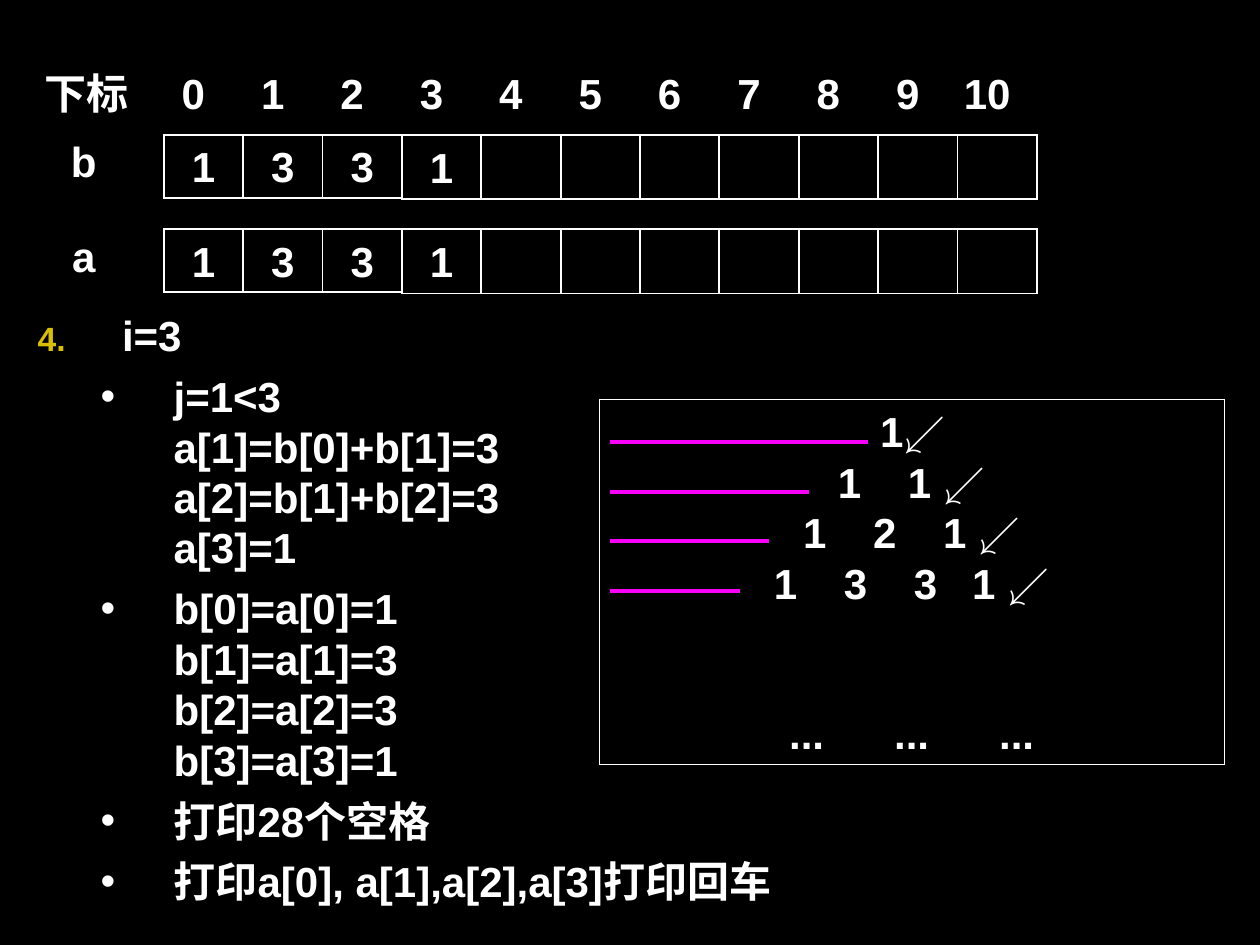
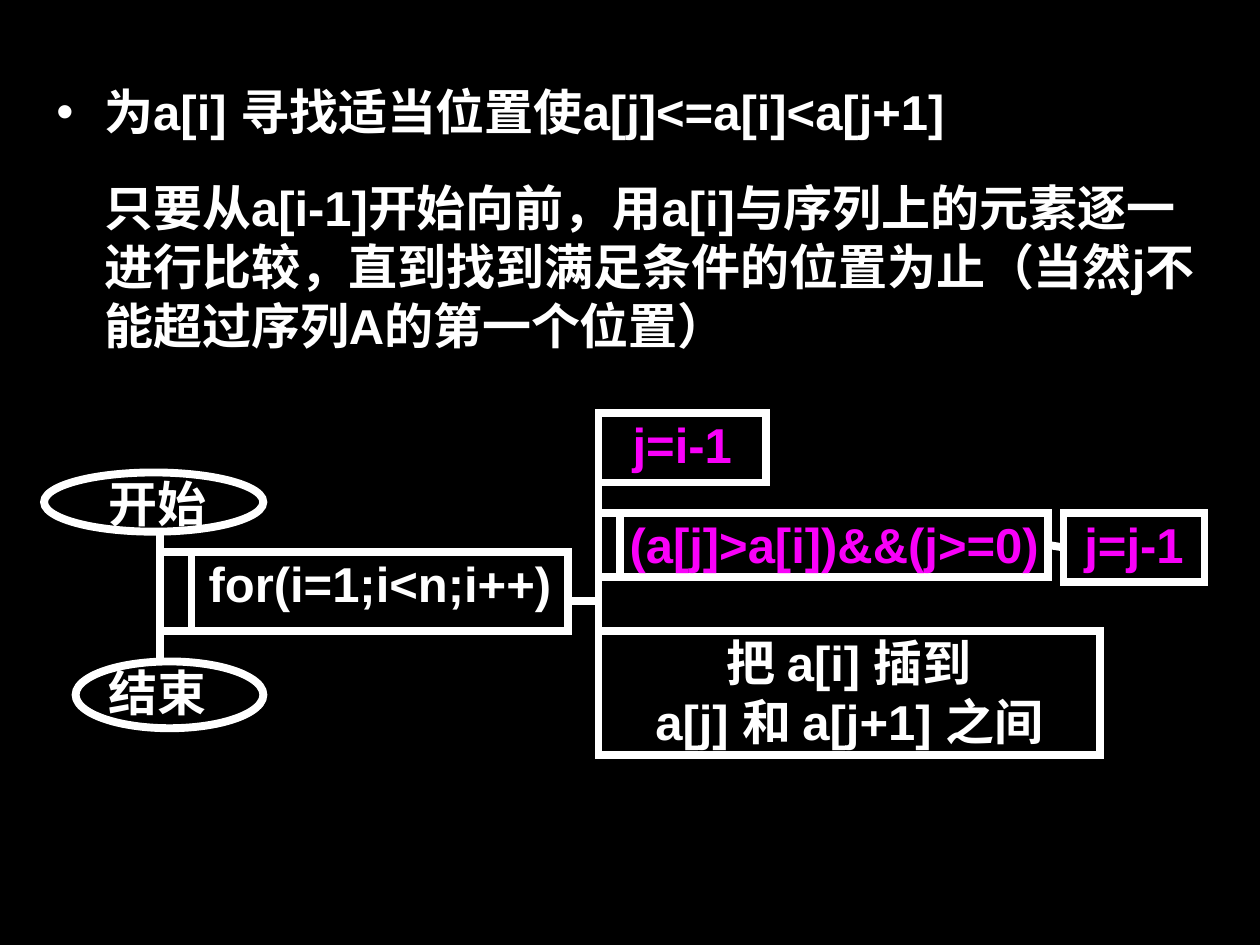
from lxml.etree import SubElement
from pptx import Presentation
from pptx.dml.color import RGBColor
from pptx.enum.shapes import MSO_CONNECTOR as Connector, MSO_SHAPE as Preset
from pptx.enum.text import MSO_ANCHOR as Anchor, PP_ALIGN as Align
from pptx.oxml.ns import qn
from pptx.util import Pt

COLORS = {"background": "000000", "white": "FFFFFF", "accent": "F900F9", "number": "D9BE02"}
FONT = "Arial"
WIDE_INSET, TIGHT_INSET = (7.2, 3.6), (0.72, 0.72)


def outline(shape, color, width):
    shape.line.color.rgb = RGBColor.from_string(COLORS[color])
    shape.line.width = Pt(width)
    properties = shape._element.spPr
    SubElement(properties.find(qn("a:ln")), qn("a:miter"), lim="800000")
    SubElement(properties, qn("a:effectLst"))


def write(shape, texts, size, color="white", align=Align.CENTER, inset=WIDE_INSET, anchor=Anchor.TOP):
    frame = shape.text_frame
    frame.word_wrap = True
    frame.vertical_anchor = anchor
    frame.margin_left = frame.margin_right = Pt(inset[0])
    frame.margin_top = frame.margin_bottom = Pt(inset[1])
    for index, text in enumerate(texts):
        paragraph = frame.add_paragraph() if index else frame.paragraphs[0]
        paragraph.alignment = align
        for line_index, line in enumerate(text.split("\n")):
            if line_index:
                paragraph.add_line_break()
            run = paragraph.add_run()
            run.text = line
            run.font.name = FONT
            run.font.size = Pt(size)
            run.font.bold = True
            run.font.color.rgb = RGBColor.from_string(COLORS[color])
    return frame.paragraphs


presentation = Presentation()
presentation.slide_width, presentation.slide_height = Pt(720), Pt(540)
slides = []
for _ in range(2):
    slide = presentation.slides.add_slide(presentation.slide_layouts[6])
    slide.background.fill.solid()
    slide.background.fill.fore_color.rgb = RGBColor.from_string(COLORS["background"])
    slides.append(slide)
array_slide, flow_slide = slides

# Array slide
shapes = array_slide.shapes
CELL_LEFT, CELL_WIDTH = 93.6, 45.36
array_values = ["1", "3", "3", "1"]
labels = [("下标", 8.64, 35.3, 82.08), ("b", 25.2, 74.16, CELL_WIDTH), ("a", 25.2, 128.16, CELL_WIDTH)]
labels += [(str(index), 87.84 + index * CELL_WIDTH, 34.9, CELL_WIDTH) for index in range(11)]
for text, left, top, width in labels:
    label = shapes.add_textbox(Pt(left), Pt(top), Pt(width), Pt(36))
    write(label, [text], 24)

for row_top in (77.04, 131.04):
    for column in range(11):
        height = 36 if column < 3 else 36.72
        cell = shapes.add_shape(Preset.RECTANGLE, Pt(CELL_LEFT + column * CELL_WIDTH), Pt(row_top),
                                Pt(CELL_WIDTH), Pt(height))
        cell.fill.background()
        outline(cell, "white", 1)
        if column < len(array_values):
            write(cell, [array_values[column]], 24)

steps = [
    "i=3",
    "j=1<3\na[1]=b[0]+b[1]=3\na[2]=b[1]+b[2]=3\na[3]=1",
    "b[0]=a[0]=1\nb[1]=a[1]=3\nb[2]=a[2]=3\nb[3]=a[3]=1",
    "打印28个空格",
    "打印a[0], a[1],a[2],a[3]打印回车",
]
step_box = shapes.add_textbox(Pt(14.4), Pt(173.52), Pt(646.56), Pt(351.36))
for index, paragraph in enumerate(write(step_box, steps, 24, align=Align.LEFT)):
    margin, hanging = (77.76, 41.76) if index else (48.24, 48.24)
    properties = paragraph._p.get_or_add_pPr()
    properties.set("marL", str(Pt(margin)))
    properties.set("indent", str(-Pt(hanging)))
    bullet_color = SubElement(properties, qn("a:buClr"))
    SubElement(bullet_color, qn("a:srgbClr"), val=COLORS["white" if index else "number"])
    if index:
        paragraph.level = 1
        SubElement(properties, qn("a:buFont"), typeface=FONT)
        SubElement(properties, qn("a:buChar"), char="•")
        paragraph.space_before = Pt(6)
    else:
        SubElement(properties, qn("a:buSzPct"), val="80000")
        SubElement(properties, qn("a:buAutoNum"), type="arabicPeriod", startAt="4")

triangle_rows = [
    ("\t1↙", [153.1]),
    ("\t1\t1 ↙", [129.1, 169.1]),
    ("\t1\t2\t1 ↙", [109.1, 149.1, 189.1]),
    ("\t1\t3\t3\t1 ↙", [92.5, 132.5, 172.5, 205.8]),
    ("\t...\t...\t...", [101.2, 161.2, 221.2]),
]
triangle_box = shapes.add_shape(Preset.RECTANGLE, Pt(342.72), Pt(228.24), Pt(357.12), Pt(208.8))
triangle_box.fill.background()
outline(triangle_box, "white", 0.75)
paragraphs = write(triangle_box, [text for text, _ in triangle_rows], 24, align=Align.LEFT, anchor=Anchor.MIDDLE)
for paragraph, (_, stops) in zip(paragraphs, triangle_rows):
    tab_list = SubElement(paragraph._p.get_or_add_pPr(), qn("a:tabLst"))
    for stop in stops:
        SubElement(tab_list, qn("a:tab"), pos=str(Pt(stop)), algn="l")
paragraphs[-1].space_before = Pt(57.4)

for index, right in enumerate((496.08, 462.24, 439.2, 422.64)):
    top = 252.72 + index * 28.3
    indent_line = shapes.add_connector(Connector.STRAIGHT, Pt(348.48), Pt(top), Pt(right), Pt(top))
    outline(indent_line, "accent", 2.25)

# Flow slide
intro = [
    "为a[i] 寻找适当位置使a[j]<=a[i]<a[j+1]",
    "只要从a[i-1]开始向前，用a[i]与序列上的元素逐一进行比较，直到找到满足条件的位置为止（当然j不能超过序列A的第一个位置）",
]
intro_box = flow_slide.shapes.add_textbox(Pt(25.2), Pt(43.2), Pt(672.48), Pt(164.16))
for index, paragraph in enumerate(write(intro_box, intro, 28, align=Align.LEFT)):
    properties = paragraph._p.get_or_add_pPr()
    properties.set("marL", str(Pt(27.36)))
    properties.set("indent", "0" if index else str(-Pt(27.36)))
    if index:
        paragraph.space_before = Pt(10.5)
    else:
        bullet_color = SubElement(properties, qn("a:buClr"))
        SubElement(bullet_color, qn("a:srgbClr"), val=COLORS["white"])
        SubElement(properties, qn("a:buFont"), typeface=FONT)
        SubElement(properties, qn("a:buChar"), char="•")
    paragraph.space_after = Pt(10.5)

flow_shapes = flow_slide.shapes.add_group_shape().shapes
BODY_LEFT = 342
flow_boxes = [
    ("start", Preset.OVAL, 25.2, 270, 125.28, 33.84, [], "white"),
    ("end", Preset.OVAL, 43.2, 378, 107.28, 38.16, [], "white"),
    ("loop bar", Preset.RECTANGLE, 91.44, 315.36, 18, 45.36, [], "white"),
    ("loop", Preset.RECTANGLE, 109.44, 315.36, 215.28, 45.36, ["for(i=1;i<n;i++)"], "white"),
    ("insert", Preset.RECTANGLE, BODY_LEFT, 360.72, 286.56, 70.56,
     ["把 a[i] 插到", "a[j] 和 a[j+1] 之间"], "white"),
    ("decrement", Preset.RECTANGLE, 607.68, 293.04, 80.64, 39.6, ["j=j-1"], "accent"),
    ("condition bar", Preset.RECTANGLE, BODY_LEFT, 293.04, 12.24, 36.72, [], "white"),
    ("condition", Preset.RECTANGLE, 354.24, 293.04, 244.8, 36.72, ["(a[j]>a[i])&&(j>=0)"], "accent"),
    ("initial", Preset.RECTANGLE, BODY_LEFT, 236.16, 95.76, 39.6, ["j=i-1"], "accent"),
]
boxes = {}
for name, preset, left, top, width, height, texts, color in flow_boxes:
    box = flow_shapes.add_shape(preset, Pt(left), Pt(top), Pt(width), Pt(height))
    box.fill.background()
    outline(box, "white", 4.5)
    write(box, texts, 28, color, inset=TIGHT_INSET)
    boxes[name] = box

for text, top, width in (("开始", 270, 64.08), ("结束", 378, 67.68)):
    label = flow_shapes.add_textbox(Pt(61.2), Pt(top), Pt(width), Pt(30.96))
    write(label, [text], 28, align=Align.JUSTIFY, inset=TIGHT_INSET)

flow_lines = [
    (324, 343.44, BODY_LEFT, 343.44),
    (91.44, 303.84, 91.44, 378),
    (BODY_LEFT, 236.16, BODY_LEFT, 428.4),
    (599.04, 311.4, 607.68, 312.84),
]
for ends in flow_lines:
    flow_line = flow_shapes.add_connector(Connector.STRAIGHT, *(Pt(value) for value in ends))
    outline(flow_line, "white", 4.5)
flow_line.begin_connect(boxes["condition"], 3)
flow_line.end_connect(boxes["decrement"], 1)

presentation.save("out.pptx")
